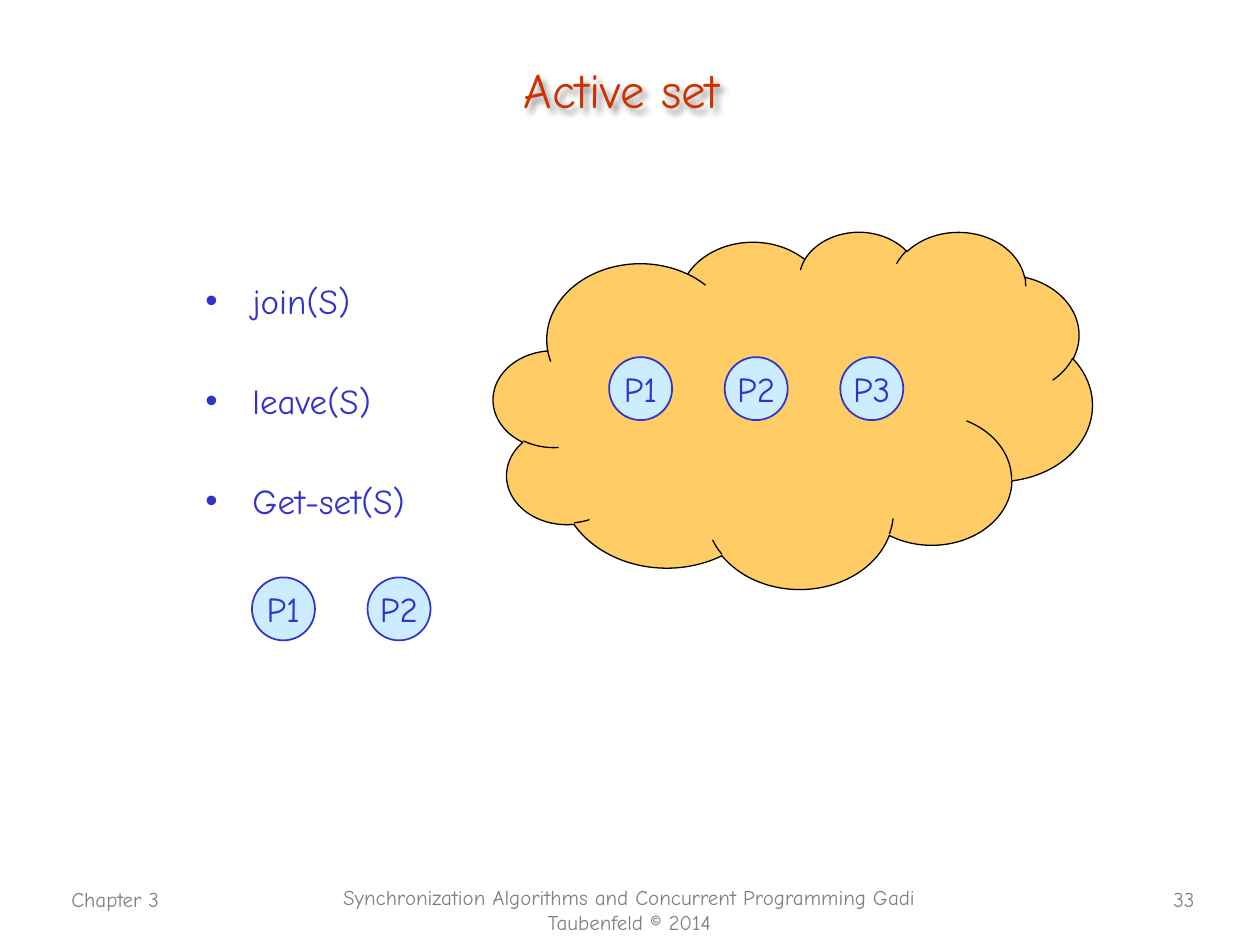
from dataclasses import dataclass

from lxml.etree import SubElement
from pptx import Presentation
from pptx.dml.color import RGBColor
from pptx.enum.shapes import MSO_SHAPE
from pptx.enum.text import MSO_ANCHOR, PP_ALIGN
from pptx.oxml.ns import qn
from pptx.util import Cm, Pt

FONT = "Comic Neue"
BLUE, RED, GREY = "3333CC", "CC3300", "808080"
ORANGE, PALE_BLUE, BLACK = "FFCC66", "CCECFF", "000000"


@dataclass
class Footer:
    text: str
    left: float
    top: float
    width: float
    align: PP_ALIGN


@dataclass
class ProcessRow:
    left: float
    top: float
    count: int


FOOTERS = [
    Footer("Chapter 3", 1.19, 17.75, 5.28, PP_ALIGN.LEFT),
    Footer("Synchronization Algorithms and Concurrent Programming Gadi "
           "Taubenfeld © 2014", 6.55, 17.7, 12.27, PP_ALIGN.CENTER),
    Footer("33", 23.14, 17.75, 1.19, PP_ALIGN.RIGHT),
]
OPERATIONS = ["join(S)", "leave(S)", "Get-set(S)"]
PROCESS_ROWS = [ProcessRow(12.28, 7.2, 3), ProcessRow(5.08, 11.64, 2)]
PROCESS_SIZE, PROCESS_PITCH = 1.27, 2.33


def color(value: str) -> RGBColor:
    return RGBColor.from_string(value)


def write(para, text: str, size: int, text_color: str, align=PP_ALIGN.LEFT) -> None:
    para.alignment = align
    span = para.add_run()
    span.text = text
    for name, value in {"name": FONT, "size": Pt(size), "bold": False}.items():
        setattr(span.font, name, value)
    span.font.color.rgb = color(text_color)


def add_box(page, left: float, top: float, width: float, height: float):
    box = page.shapes.add_textbox(Cm(left), Cm(top), Cm(width), Cm(height))
    box.text_frame.word_wrap = True
    return box


def add_figure(page, kind, left: float, top: float, width: float, height: float,
               fill: str, line: str, weight: float):
    figure = page.shapes.add_shape(kind, Cm(left), Cm(top), Cm(width), Cm(height))
    figure.shadow.inherit = False
    figure.fill.solid()
    figure.fill.fore_color.rgb = color(fill)
    figure.line.color.rgb = color(line)
    figure.line.width = Pt(weight)
    return figure


def add_title(page, text: str) -> None:
    title = page.shapes.title
    place = {"left": 1.9, "top": 0.2, "width": 21.6, "height": 3.18}
    for name, value in place.items():
        setattr(title, name, Cm(value))
    title.text_frame.vertical_anchor = MSO_ANCHOR.MIDDLE
    write(title.text_frame.paragraphs[0], text, 28, RED, PP_ALIGN.CENTER)
    # Soft shadow behind the letters
    effects = SubElement(title.element.spPr, qn("a:effectLst"))
    shadow = SubElement(effects, qn("a:outerShdw"), blurRad="38100",
                        dist="38100", dir="2700000", algn="tl")
    shade = SubElement(shadow, qn("a:srgbClr"), val=BLACK)
    SubElement(shade, qn("a:alpha"), val="43000")


def add_operations(page) -> None:
    frame = add_box(page, 3.89, 5.51, 5.87, 6.78).text_frame
    for index, operation in enumerate(OPERATIONS):
        para = frame.add_paragraph() if index else frame.paragraphs[0]
        para.space_before = Pt(33 if index else 4)
        write(para, operation, 20, BLUE)
        settings = para._p.get_or_add_pPr()
        settings.set("marL", str(Cm(0.95)))
        settings.set("indent", str(Cm(-0.95)))
        SubElement(settings, qn("a:buFont"), typeface="Arial")
        SubElement(settings, qn("a:buChar"), char="•")


def add_process(page, left: float, top: float, label: str) -> None:
    circle = add_figure(page, MSO_SHAPE.OVAL, left, top, PROCESS_SIZE,
                        PROCESS_SIZE, PALE_BLUE, BLUE, 1)
    frame = circle.text_frame
    frame.word_wrap = False
    frame.vertical_anchor = MSO_ANCHOR.MIDDLE
    write(frame.paragraphs[0], label, 20, BLUE, PP_ALIGN.CENTER)


deck = Presentation()
deck.slide_width, deck.slide_height = Cm(25.4), Cm(19.05)
page = deck.slides.add_slide(deck.slide_layouts[5])

# Title and footer line
add_title(page, "Active set ")
for footer in FOOTERS:
    box = add_box(page, footer.left, footer.top, footer.width, 1.27)
    write(box.text_frame.paragraphs[0], footer.text, 12, GREY, footer.align)

# Operations on the set
add_operations(page)

# The set as a cloud, with the processes in it and those returned
add_figure(page, MSO_SHAPE.CLOUD, 9.95, 4.66, 12.07, 7.2, ORANGE, BLACK, 0.75)
for row in PROCESS_ROWS:
    for index in range(row.count):
        add_process(page, row.left + index * PROCESS_PITCH, row.top, f"P{index + 1}")

deck.save("out.pptx")
